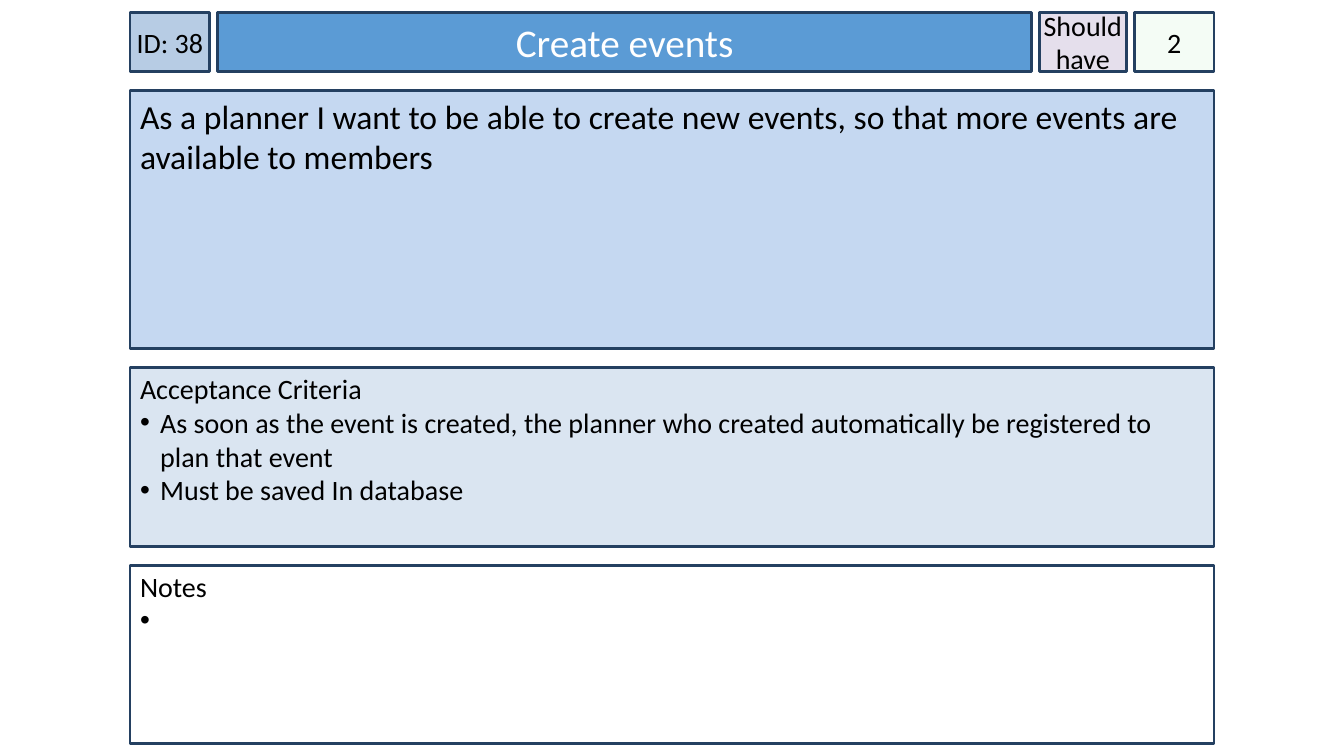
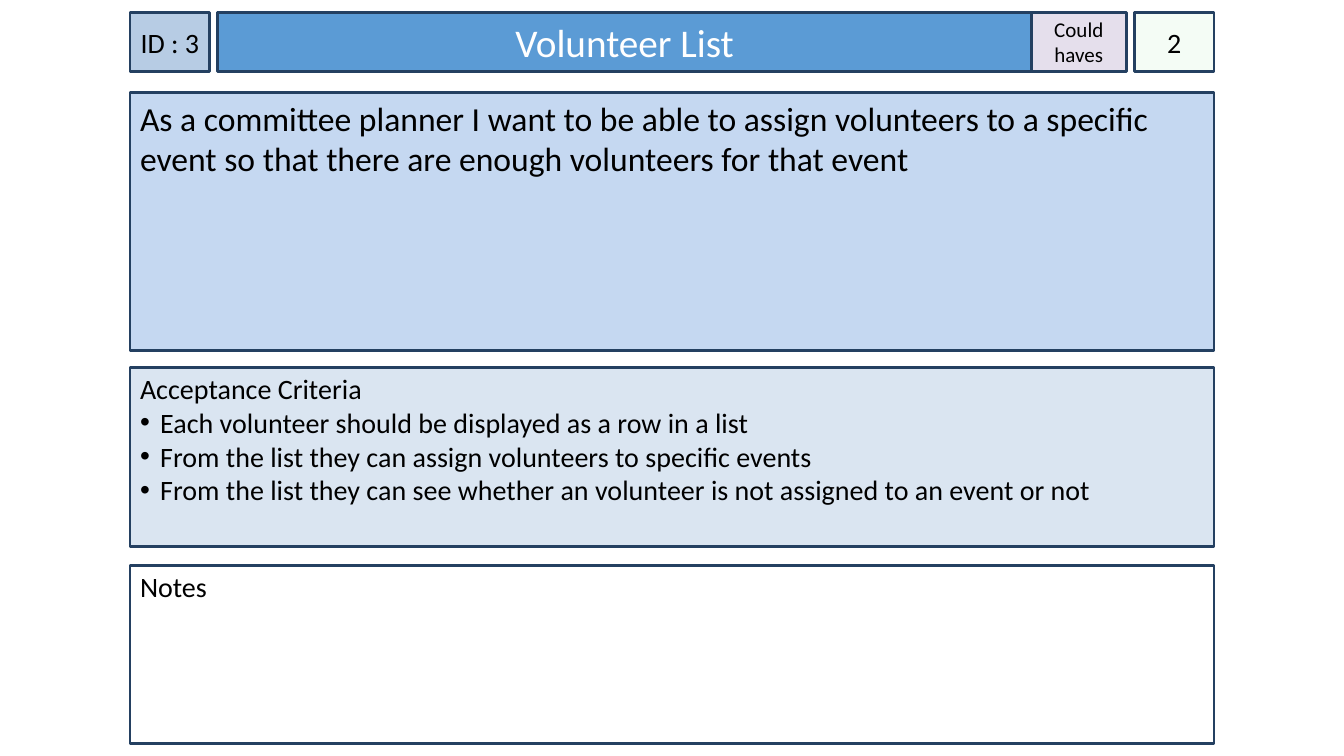
from lxml import etree
from pptx import Presentation
from pptx.dml.color import RGBColor
from pptx.enum.shapes import MSO_SHAPE
from pptx.enum.text import MSO_ANCHOR, MSO_AUTO_SIZE, PP_ALIGN
from pptx.oxml.ns import qn
from pptx.util import Inches, Pt

RECTANGLE = MSO_SHAPE.RECTANGLE
TOP, MIDDLE = MSO_ANCHOR.TOP, MSO_ANCHOR.MIDDLE
LEFT, CENTER = PP_ALIGN.LEFT, PP_ALIGN.CENTER
NO_AUTOFIT = MSO_AUTO_SIZE.NONE
TITLE_ONLY = 5

# Content: one story card per slide
CARDS = [
    {
        "id": "ID: 38",
        "title": "Create events",
        "priority": "Should have",
        "priority_size": 20,
        "priority_left": 10.31,
        "estimate": "2",
        "story": "As a planner I want to be able to create new events, "
                 "so that more events are available to members",
        "story_top": 0.9,
        "criteria": [
            "As soon as the event is created, the planner who created "
            "automatically be registered to plan that event",
            "Must be saved In database",
        ],
        "notes": [" "],
    },
    {
        "id": "ID : 3",
        "title": "Volunteer List",
        "priority": "Could haves",
        "priority_size": 15,
        "priority_left": 10.23,
        "estimate": "2",
        "story": "As a committee planner I want to be able to assign volunteers "
                 "to a specific event so that there are enough volunteers for that event",
        "story_top": 0.92,
        "criteria": [
            "Each volunteer should be displayed as a row in a list",
            "From the list they can assign volunteers to specific events",
            "From the list they can see whether an volunteer is not assigned "
            "to an event or not",
        ],
        "notes": [],
    },
]

# Shared style
FONT = "Calibri"
BORDER, INK, WHITE = "244061", "000000", "FFFFFF"
FILLS = {"id": "B7CCE4", "title": "5B9BD5", "priority": "E5DFEC",
         "estimate": "CCF0CD", "story": "C5D8F1", "criteria": "DAE5F1",
         "notes": WHITE}
ESTIMATE_OPACITY = 20

# Shared grid, in inches
CARD_LEFT, CARD_RIGHT = 1.29, 12.04
CARD_WIDTH = CARD_RIGHT - CARD_LEFT
HEADER_TOP, HEADER_HEIGHT = 0.12, 0.59
TILE_WIDTH, TILE_GAP = 0.79, 0.08
TITLE_LEFT, TITLE_RIGHT = CARD_LEFT + TILE_WIDTH + TILE_GAP, 10.23
ESTIMATE_LEFT = CARD_RIGHT - TILE_WIDTH
STORY_HEIGHT = 2.56
PANEL_TOP, PANEL_HEIGHT, PANEL_GAP = 3.65, 1.77, 0.19
BULLET_INDENT = 0.2


def rgb(value):
    return RGBColor.from_string(value)


def style_box(box, area, fill, opacity=None):
    """Place a box and give it the card's fill and border."""
    for name, length in zip(("left", "top", "width", "height"), area):
        setattr(box, name, Inches(length))
    box.fill.solid()
    box.fill.fore_color.rgb = rgb(fill)
    box.line.color.rgb = rgb(BORDER)
    box.line.width = Pt(2)
    box.shadow.inherit = False
    if opacity is not None:
        color = box.element.spPr.find(qn("a:solidFill")).find(qn("a:srgbClr"))
        etree.SubElement(color, qn("a:alpha"), val=str(opacity * 1000))


def add_bullet(para):
    properties = para._p.get_or_add_pPr()
    properties.set("marL", str(Inches(BULLET_INDENT)))
    properties.set("indent", str(-Inches(BULLET_INDENT)))
    color = etree.SubElement(properties, qn("a:buClr"))
    etree.SubElement(color, qn("a:srgbClr"), val=INK)
    etree.SubElement(properties, qn("a:buFont"), typeface="Arial")
    etree.SubElement(properties, qn("a:buChar"), char="•")


def write_text(box, text, bullets=(), size=20, color=INK, align=LEFT,
               anchor=TOP, side=0.1, top=0.05):
    """Write a first line and any bulleted lines below it."""
    frame = box.text_frame
    settings = {"word_wrap": True, "auto_size": NO_AUTOFIT,
                "vertical_anchor": anchor,
                "margin_left": Inches(side), "margin_right": Inches(side),
                "margin_top": Inches(top), "margin_bottom": Inches(0.05)}
    for name, value in settings.items():
        setattr(frame, name, value)
    for index, line in enumerate([text, *bullets]):
        para = frame.add_paragraph() if index else frame.paragraphs[0]
        para.alignment = align
        if index:
            add_bullet(para)
        span = para.add_run()
        span.text = line
        span.font.name = FONT
        span.font.size = Pt(size)
        span.font.color.rgb = rgb(color)


def add_box(page, area, fill, text, opacity=None, **text_format):
    box = page.shapes.add_shape(RECTANGLE, 0, 0, 0, 0)
    style_box(box, area, fill, opacity)
    write_text(box, text, **text_format)


def add_card(deck, card):
    page = deck.slides.add_slide(deck.slide_layouts[TITLE_ONLY])

    # Title bar
    title = page.shapes.title
    style_box(title, (TITLE_LEFT, HEADER_TOP, TITLE_RIGHT - TITLE_LEFT, HEADER_HEIGHT),
              FILLS["title"])
    write_text(title, card["title"], size=28, color=WHITE, align=CENTER, anchor=MIDDLE)

    # Header tiles
    priority_left = card["priority_left"]
    priority_width = ESTIMATE_LEFT - TILE_GAP - priority_left
    tiles = [
        ("id", CARD_LEFT, TILE_WIDTH, 20, None),
        ("estimate", ESTIMATE_LEFT, TILE_WIDTH, 20, ESTIMATE_OPACITY),
        ("priority", priority_left, priority_width, card["priority_size"], None),
    ]
    for key, left, width, size, opacity in tiles:
        add_box(page, (left, HEADER_TOP, width, HEADER_HEIGHT), FILLS[key], card[key],
                opacity, size=size, align=CENTER, anchor=MIDDLE, side=0)

    # Story
    add_box(page, (CARD_LEFT, card["story_top"], CARD_WIDTH, STORY_HEIGHT),
            FILLS["story"], card["story"], size=24)

    # Criteria and notes panels
    panels = [("criteria", "Acceptance Criteria"), ("notes", "Notes")]
    for row, (key, heading) in enumerate(panels):
        top = PANEL_TOP + row * (PANEL_HEIGHT + PANEL_GAP)
        add_box(page, (CARD_LEFT, top, CARD_WIDTH, PANEL_HEIGHT), FILLS[key],
                heading, bullets=card[key], top=0.04)


def main():
    deck = Presentation()
    deck.slide_width, deck.slide_height = Inches(13.33), Inches(7.5)
    for card in CARDS:
        add_card(deck, card)
    deck.save("out.pptx")


if __name__ == "__main__":
    main()
